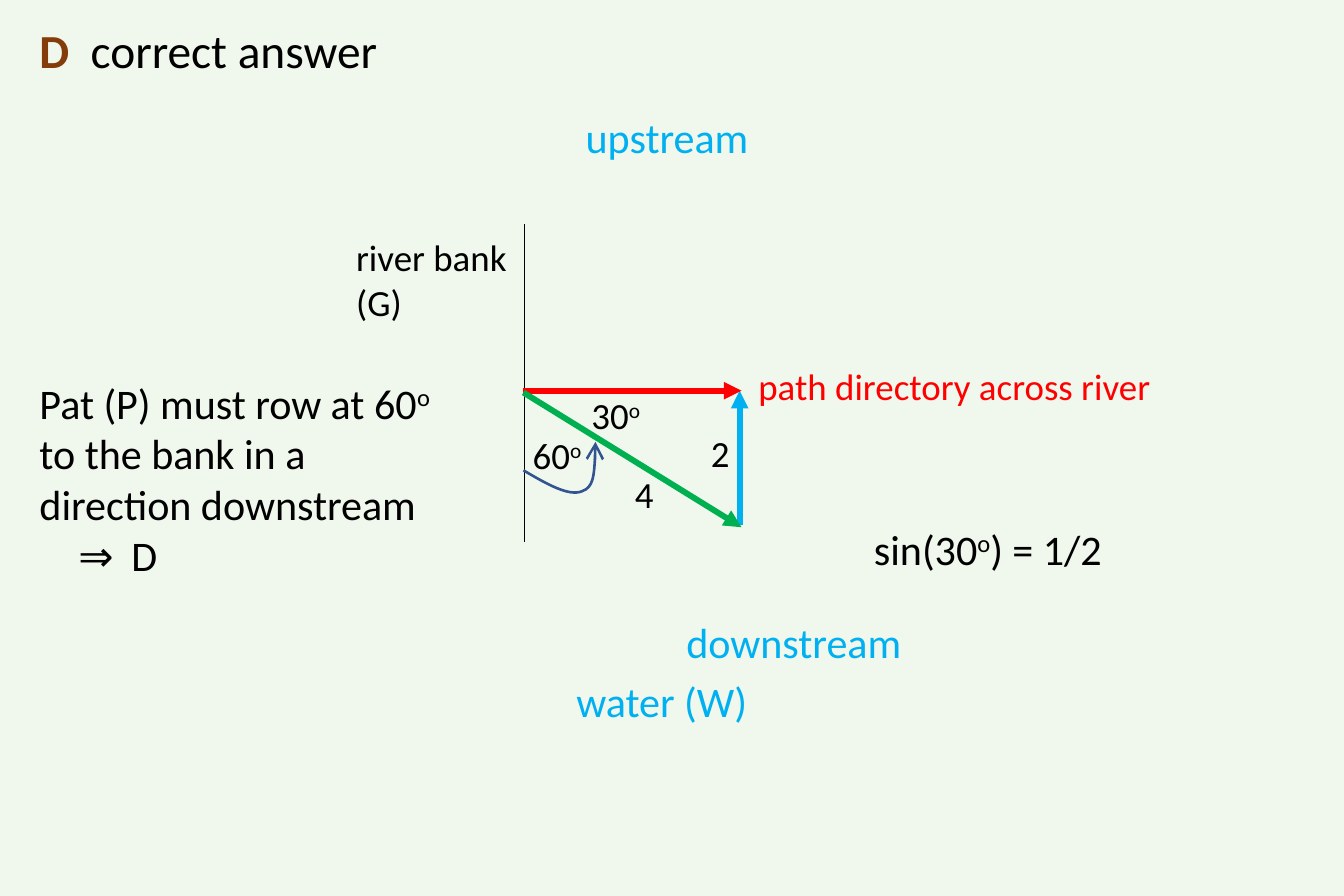
from pptx import Presentation
from pptx import util as u
from pptx.dml.color import RGBColor
from pptx.enum import shapes, text
from pptx.oxml import xmlchemy as xml
from pptx.oxml.ns import qn

HUE = {"back": "F0F7EC", "ink": "000000", "water": "00B0F0", "path": "FF0000",
       "row": "00B050", "arc": "325491", "mark": "843C0B"}
CELL = u.Inches(0.1)


def cells(*nums):
    """Turn grid cells of a tenth of an inch into lengths."""
    return [u.Emu(round(n * CELL)) for n in nums]


def tint(name):
    """Return a named colour."""
    return RGBColor.from_string(HUE[name])


def trim(shape, hue, width, head=None):
    """Style a line, drop its shadow and add an arrowhead at its end."""
    shape.line.color.rgb = tint(hue)
    shape.line.width = u.Pt(width)
    if head:
        tail = xml.OxmlElement("a:tailEnd")
        tail.set("type", head)
        shape.line._get_or_add_ln().append(tail)
    props = shape._element.spPr
    if props.find(qn("a:effectLst")) is None:
        props.append(xml.OxmlElement("a:effectLst"))


def line(slide, start, end, hue, width, head=None):
    """Draw a straight line between two grid points."""
    link = slide.shapes.add_connector(
        shapes.MSO_CONNECTOR.STRAIGHT, *cells(*start, *end))
    trim(link, hue, width, head)


def fill(para, words, size, hue):
    """Write words in a paragraph, raising the parts between carets."""
    for i, part in enumerate(words.split("^")):
        if part:
            run = para.add_run()
            run.text = part
            if i % 2:
                run._r.get_or_add_rPr().set("baseline", "30000")
    para.font.size = u.Pt(size)
    para.font.name = "Calibri"
    para.font.color.rgb = tint(hue)


def hang(para, left, back):
    """Give a paragraph a hanging indent, in cells."""
    props = para._p.get_or_add_pPr()
    props.set("marL", str(cells(left)[0]))
    props.set("indent", str(-cells(back)[0]))


def label(slide, box, lines, size, hue="ink", wrap=False):
    """Place a text box with one paragraph for each line."""
    frame = slide.shapes.add_textbox(*cells(*box)).text_frame
    frame.word_wrap = wrap
    frame.auto_size = text.MSO_AUTO_SIZE.SHAPE_TO_FIT_TEXT
    for i, words in enumerate(lines):
        para = frame.add_paragraph() if i else frame.paragraphs[0]
        fill(para, words, size, hue)
    return frame


def arc(slide, x, y):
    """Draw the curved arrow that marks the angle to the bank."""
    spots = [(0, 4.2), (1.2, 4.9), (2.4, 5.6), (3.1, 5.3),
             (3.7, 5.1), (3.8, 3.9), (3.8, 2.7)]
    first, *rest = [cells(x + a, y + b) for a, b in spots]
    pen = slide.shapes.build_freeform(*first)
    pen.add_line_segments(rest, close=False)
    curve = pen.convert_to_shape()
    curve.fill.background()
    path = curve._element.find(".//" + qn("a:path"))
    steps = path.findall(qn("a:lnTo"))
    for i in range(0, len(steps), 3):
        bend = xml.OxmlElement("a:cubicBezTo")
        for step in steps[i:i + 3]:
            bend.append(step[0])
            path.remove(step)
        path.append(bend)
    trim(curve, "arc", 1, "arrow")


def title(slide, x, y, w, h):
    """Write the answer heading."""
    frame = label(slide, (x, y, w, h), ["D^^\tcorrect answer"], 18, wrap=True)
    para = frame.paragraphs[0]
    hang(para, 2.7, 2.7)
    mark = para.runs[0].font
    mark.bold = True
    mark.color.rgb = tint("mark")


def reason(slide, x, y, w, h):
    """Write the conclusion beside the diagram."""
    words = ["Pat (P) must row at 60^o^ to the bank in a direction downstream",
             "⇒\tD"]
    frame = label(slide, (x, y, w, h), words, 16, wrap=True)
    hang(frame.paragraphs[1], 4.85, 2.8)


def river(slide, x, y, w, h):
    """Draw the bank and the triangle of velocities with its labels."""
    line(slide, (x + 0.05, y - 8.8), (x + 0.05, y + 8), "ink", 0.5)
    line(slide, (x + w - 0.1, y + h), (x + w - 0.1, y), "water", 2.25, "triangle")
    line(slide, (x, y), (x + w, y), "path", 2.25, "triangle")
    line(slide, (x, y + 0.1), (x + w, y + h + 0.1), "row", 2.25, "triangle")
    arc(slide, x, y)
    notes = [(-9.8, -8.7, 10, 5.7, ["river bank", "(G)"], "ink"),
             (w - 0.1, -1.9, 22.9, 3.4, ["path directory across river"], "path"),
             (-0.5, 1.7, 5.5, 3.4, ["60^o"], "ink"),
             (2.6, -0.4, 4.7, 3.4, ["30^o"], "ink"),
             (8.9, 1.6, 3, 3.4, ["2"], "ink"),
             (4.9, 3.8, 3, 3.4, ["4"], "ink")]
    for a, b, wide, high, words, hue in notes:
        label(slide, (x + a, y + b, wide, high), words, 14, hue)


def stream(slide, x, y, w, h):
    """Name the water, its directions and the sine of the angle."""
    notes = [(0.5, 0, 10.7, "upstream", "water"),
             (5.8, h - 6.8, 13.5, "downstream", "water"),
             (0, h - 3.7, 11.2, "water (W)", "water"),
             (w - 14.7, 21.7, 14.7, "sin(30^o^) = 1/2", "ink")]
    for a, b, wide, words, hue in notes:
        label(slide, (x + a, y + b, wide, 3.7), [words], 16, hue)


def main():
    """Build and save the slide."""
    deck = Presentation()
    deck.slide_width, deck.slide_height = u.Cm(18), u.Cm(12)
    slide = deck.slides.add_slide(deck.slide_layouts[6])
    back = slide.background.fill
    back.solid()
    back.fore_color.rgb = tint("back")
    river(slide, 27.6, 20.6, 11.5, 7.1)
    stream(slide, 29.4, 5.4, 30.4, 33.4)
    reason(slide, 1.1, 19.4, 24.5, 11.8)
    title(slide, 1.1, 0.6, 20.6, 4)
    deck.save("out.pptx")


if __name__ == "__main__":
    main()
